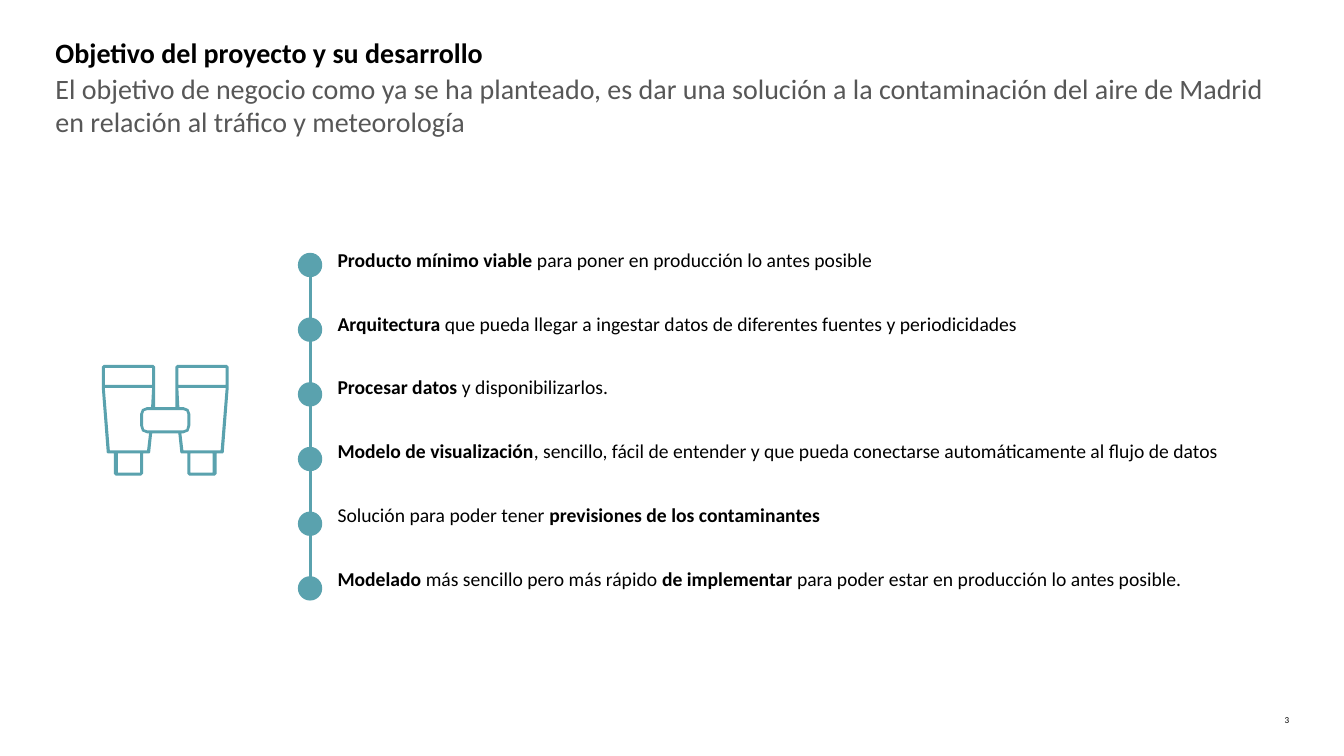
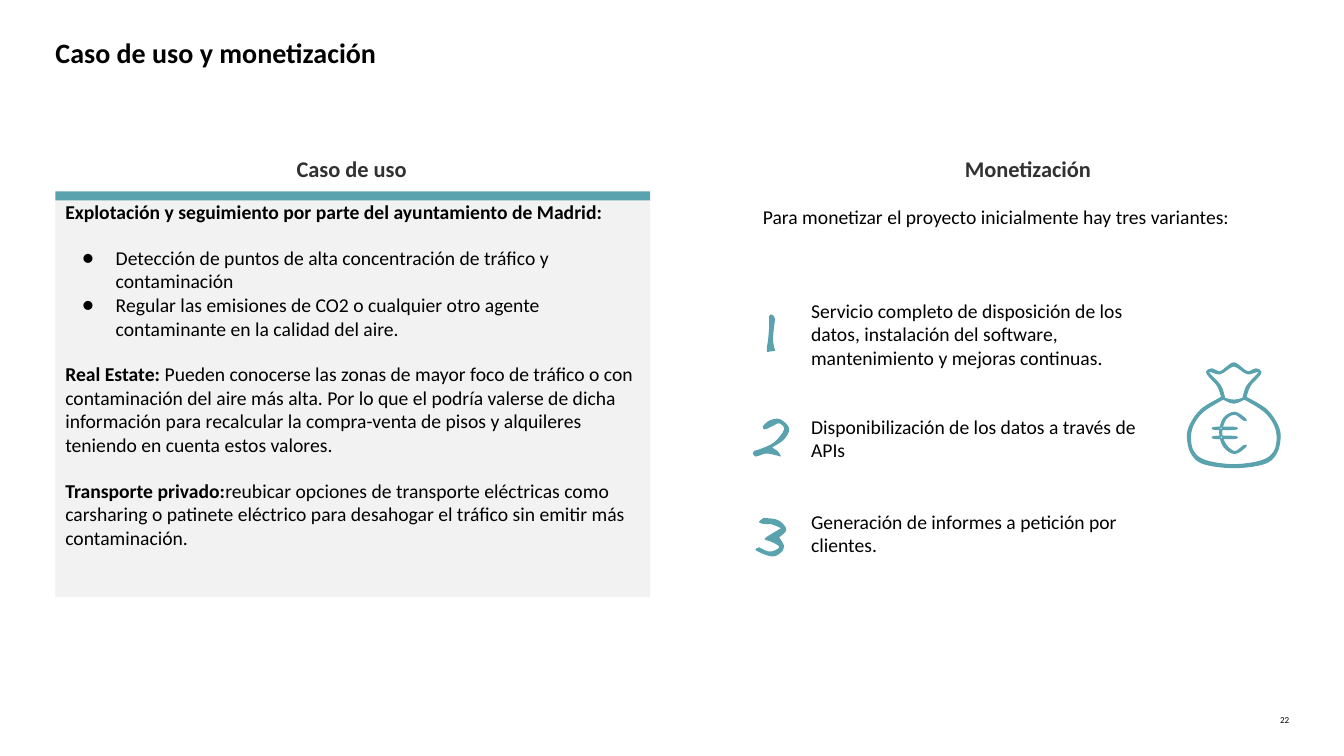
from dataclasses import dataclass
from typing import NamedTuple

from lxml.etree import SubElement
from pptx import Presentation
from pptx.dml.color import RGBColor
from pptx.enum.shapes import MSO_CONNECTOR, MSO_SHAPE
from pptx.enum.text import MSO_ANCHOR, PP_ALIGN
from pptx.oxml.ns import qn
from pptx.util import Pt

HUES = {
    "teal": "5AA2AE",
    "black": "000000",
    "grey": "575757",
    "dark": "313131",
    "pale": "F2F2F2",
}
FONT = "Calibri"
LEFT, WIDE = 39.6, 882
UNIT = 0.72  # points in one step of the icon grid

Point = tuple[float, float]
Loop = list[Point]


class Run(NamedTuple):
    text: str
    bold: bool = False


class Box(NamedTuple):
    x: float
    y: float
    w: float
    h: float


@dataclass
class Para:
    runs: list[Run]
    gap: float = 0
    left: float = 0
    bullet: bool = False


@dataclass
class Style:
    size: float = 14
    hue: str = "black"
    align: PP_ALIGN = PP_ALIGN.LEFT
    pad: Point = (0, 0)


@dataclass
class Icon:
    x: float
    y: float
    loops: list[Loop]
    smooth: bool = True
    line: float = 0


def tint(name: str) -> RGBColor:
    return RGBColor.from_string(HUES[name])


# Text
def write(frame, paras: list[Para], style: Style) -> None:
    frame.word_wrap = True
    frame.vertical_anchor = MSO_ANCHOR.TOP
    frame.margin_left = frame.margin_right = Pt(style.pad[0])
    frame.margin_top = frame.margin_bottom = Pt(style.pad[1])
    for i, para in enumerate(paras):
        line = frame.paragraphs[0] if i == 0 else frame.add_paragraph()
        props = line._p.get_or_add_pPr()
        props.set("marL", str(Pt(para.left)))
        props.set("indent", str(Pt(-24 if para.bullet else 0)))
        line.alignment = style.align
        line.space_before = Pt(para.gap)
        if para.bullet:
            SubElement(props, qn("a:buFont")).set("typeface", FONT)
            SubElement(props, qn("a:buChar")).set("char", "●")
        for part in para.runs:
            run = line.add_run()
            run.text = part.text
            run.font.name = FONT
            run.font.size = Pt(style.size)
            run.font.bold = part.bold
            run.font.color.rgb = tint(style.hue)


def label(slide, box: Box, paras: list[Para], style: Style) -> None:
    shape = slide.shapes.add_textbox(*map(Pt, box))
    write(shape.text_frame, paras, style)


# Shapes and lines
def paint(shape, fill: str, line: float = 0) -> None:
    shape.shadow.inherit = False
    shape.fill.solid()
    shape.fill.fore_color.rgb = tint(fill)
    if line:
        shape.line.color.rgb = tint(fill)
        shape.line.width = Pt(line)
    else:
        shape.line.fill.background()


def block(slide, kind: MSO_SHAPE, box: Box, fill: str):
    shape = slide.shapes.add_shape(kind, *map(Pt, box))
    paint(shape, fill)
    return shape


def rule(slide, start: Point, end: Point) -> None:
    line = slide.shapes.add_connector(
        MSO_CONNECTOR.STRAIGHT, *map(Pt, start + end))
    line.line.color.rgb = tint("teal")
    line.line.width = Pt(2.25)
    SubElement(line._element.spPr, qn("a:effectLst"))


def bend(loop: Loop) -> Loop:
    """Return a start and triples of curve points; a doubled dot is a corner."""
    out = [loop[0]]
    for i, (bx, by) in enumerate(loop):
        ax, ay = loop[i - 1]
        cx, cy = loop[(i + 1) % len(loop)]
        dx, dy = loop[(i + 2) % len(loop)]
        if (bx, by) != (cx, cy):
            out += [(bx + (cx - ax) / 6, by + (cy - ay) / 6),
                    (cx - (dx - bx) / 6, cy - (dy - by) / 6), (cx, cy)]
    return out


def trace(slide, icon: Icon) -> None:
    pen = None
    for loop in icon.loops:
        dots = bend(loop) if icon.smooth else loop
        spots = [(Pt(icon.x + a * UNIT), Pt(icon.y + b * UNIT))
                 for a, b in dots]
        if pen is None:
            pen = slide.shapes.build_freeform(*spots[0])
        else:
            pen.move_to(*spots[0])
        pen.add_line_segments(spots[1:], close=True)
    shape = pen.convert_to_shape()
    paint(shape, "teal", icon.line)
    if icon.smooth:
        # Turn each three line ends into one cubic curve
        lines = list(shape._element.iter(qn("a:lnTo")))
        for i in range(0, len(lines), 3):
            arc = lines[i].makeelement(qn("a:cubicBezTo"))
            lines[i].addprevious(arc)
            for line in lines[i:i + 3]:
                arc.append(line[0])
                line.getparent().remove(line)


def flip(loop: Loop, mid: float) -> Loop:
    return [(2 * mid - x, y) for x, y in reversed(loop)]


# Parts that the slides share
def begin(deck, title: str, page: str):
    slide = deck.slides.add_slide(deck.slide_layouts[6])
    label(slide, Box(896.4, 510.2, 24.5, 8), [Para([Run(page)])],
          Style(6.5, align=PP_ALIGN.RIGHT))
    label(slide, Box(LEFT, 25.5, WIDE, 54.7), [Para([Run(title, True)])],
          Style(20))
    return slide


# Icons
def scope() -> Icon:
    mid = 63
    rim = [(50, 68), (48, 87), (47, 88), (41, 88), (41, 108), (39, 110),
           (14, 110), (12, 108), (12, 88), (6, 88), (5, 87), (0, 22),
           (0, 2), (2, 0), (51, 0), (53, 2), (53, 42)]
    cap = [(3, 3), (50, 3), (50, 20), (3, 20)]
    body = [(45, 85), (8, 85), (3, 23), (50, 23), (49, 42), (45, 42),
            (40, 44), (38, 49), (38, 60), (40, 66), (45, 68), (47, 68)]
    eye = [(16, 88), (38, 88), (38, 107), (16, 107)]
    side = [(45, 65), (42, 64), (41, 60), (41, 49), (42, 46), (45, 45)]
    holes = [cap, body, eye]
    loops = [rim + flip(rim, mid), side + flip(side, mid)]
    loops += holes + [flip(hole, mid) for hole in holes]
    return Icon(72.7, 260.6, loops, smooth=False)


def purse() -> Icon:
    mid = 46
    rim = [(mid, 0), (38, 5), (32, 9), (24, 6), (19, 9), (22, 14), (30, 23),
           (34, 34), (34, 34), (14, 46), (3, 61), (0, 74), (4, 90),
           (16, 100), (mid, 104)]
    hole = [(mid, 3), (39, 7), (32, 11), (24, 9), (21, 9), (23, 12),
            (33, 23), (37, 35), (37, 35), (16, 48), (6, 61), (3, 74),
            (6, 88), (18, 97), (mid, 101)]
    tie = [(34, 35), (46, 40), (58, 35), (56, 35), (46, 37), (36, 35)]
    euro = [(58, 56), (47, 49), (36, 55), (32, 69), (36, 83), (47, 90),
            (58, 83), (56, 82), (47, 88), (38, 81), (34, 69), (38, 56),
            (47, 51), (56, 57)]
    bars = [[(27, y), (47, y), (47, y + 2), (27, y + 2)] for y in (64, 73)]
    loops = [half + flip(half[1:-1], mid) for half in (rim, hole)]
    return Icon(848.2, 259.2, loops + [tie, euro] + bars, line=0.75)


DIGITS = [
    Icon(547.9, 224.6, [[
        (8, 36), (8, 36), (2, 37), (0, 37), (0, 32), (1, 26), (2, 14),
        (2, 5), (2, 2), (4, 0), (7, 2), (8, 5), (7, 12), (6, 26)]]),
    Icon(537.8, 299.5, [[
        (36, 9), (31, 20), (19, 28), (19, 28), (25, 32), (28, 37), (28, 37),
        (15, 34), (9, 35), (3, 37), (0, 34), (2, 31), (6, 30), (21, 23),
        (31, 10), (26, 4), (21, 6), (12, 10), (10, 7), (17, 1), (27, 0)]]),
    Icon(540, 370.1, [[
        (30, 10), (28, 15), (23, 19), (23, 19), (28, 28), (24, 35), (15, 38),
        (0, 32), (3, 29), (3, 29), (12, 33), (19, 32), (23, 28), (14, 23),
        (10, 22), (9, 20), (15, 16), (25, 10), (25, 10), (15, 6), (8, 6),
        (3, 4), (6, 1), (9, 0), (22, 2)]]),
]

GOALS = [
    [Run("Producto mínimo viable ", True),
     Run("para poner en producción lo antes posible")],
    [Run("Arquitectura", True),
     Run(" que pueda llegar a ingestar datos de diferentes fuentes "
         "y periodicidades")],
    [Run("Procesar datos ", True), Run("y disponibilizarlos.")],
    [Run("Modelo de visualización", True),
     Run(", sencillo, fácil de entender y que pueda conectarse "
         "automáticamente al flujo de datos")],
    [Run("Solución para poder tener "),
     Run("previsiones de los contaminantes", True)],
    [Run("Modelado", True), Run(" más sencillo pero más rápido "),
     Run("de implementar ", True),
     Run("para poder estar en producción lo antes posible.")],
]

CASES = [
    Para([Run("Explotación y seguimiento por parte del ayuntamiento "
              "de Madrid:", True)]),
    Para([Run("Detección de puntos de alta concentración de tráfico "
              "y contaminación")], 16, 36, True),
    Para([Run("Regular las emisiones de CO2 o cualquier otro agente "
              "contaminante en la calidad del aire.")], 0, 36, True),
    Para([Run("Real Estate:", True),
          Run(" Pueden conocerse las zonas de mayor foco de tráfico o con "
              "contaminación del aire más alta. Por lo que el podría valerse "
              "de dicha información para recalcular la compra-venta de pisos "
              "y alquileres teniendo en cuenta estos valores.")], 16),
    Para([Run("Transporte privado:", True),
          Run("reubicar opciones de transporte eléctricas como carsharing o "
              "patinete eléctrico para desahogar el tráfico sin emitir más "
              "contaminación.")], 16),
]

PLANS = [
    Para([Run("Servicio completo de disposición de los datos, instalación "
              "del software, mantenimiento y mejoras continuas.")], 0, 12),
    Para([Run("Disponibilización de los datos a través de APIs")], 32.5, 12),
    Para([Run("Generación de informes a petición por clientes.")], 34, 12),
]


def goals(deck) -> None:
    slide = begin(deck, "Objetivo del proyecto y su desarrollo", "3")
    label(slide, Box(LEFT, 51, WIDE, 59.8), [Para([Run(
        "El objetivo de negocio como ya se ha planteado, es dar una solución "
        "a la contaminación del aire de Madrid en relación al tráfico "
        "y meteorología")])], Style(20, "grey"))
    paras = [Para(runs, 28.8 if i else 0, 12) for i, runs in enumerate(GOALS)]
    label(slide, Box(222, 169.7, 663, 270.7), paras,
          Style(align=PP_ALIGN.JUSTIFY, pad=(7.2, 7.2)))
    # Timeline
    rule(slide, (221.5, 198), (221.5, 411.8))
    for i in range(len(GOALS)):
        block(slide, MSO_SHAPE.OVAL,
              Box(212.8, 180.6 + i * 46.2, 17.4, 17.4), "teal")
    trace(slide, scope())


def cases(deck) -> None:
    slide = begin(deck, "Caso de uso y monetización", "22")
    # Use cases
    panel = block(slide, MSO_SHAPE.RECTANGLE,
                  Box(LEFT, 142.8, 424.8, 283.7), "pale")
    write(panel.text_frame, CASES, Style(pad=(7.2, 0)))
    block(slide, MSO_SHAPE.RECTANGLE, Box(LEFT, 136.8, 424.8, 6.3), "teal")
    for text, x in (("Caso de uso", 211.9), ("Monetización", 689.2)):
        label(slide, Box(x, 110.6, 92, 19.4), [Para([Run(text, True)])],
              Style(16, "dark"))
    # Ways to earn
    inset = Style(pad=(7.2, 3.6))
    label(slide, Box(537.8, 142.8, 351.4, 24.5), [Para([Run(
        "Para monetizar el proyecto inicialmente hay tres variantes:")])],
        inset)
    label(slide, Box(560.3, 209.8, 280.8, 193), PLANS, inset)
    for icon in DIGITS + [purse()]:
        trace(slide, icon)


def main() -> None:
    deck = Presentation()
    deck.slide_width, deck.slide_height = Pt(960), Pt(540)
    goals(deck)
    cases(deck)
    deck.save("out.pptx")


if __name__ == "__main__":
    main()
